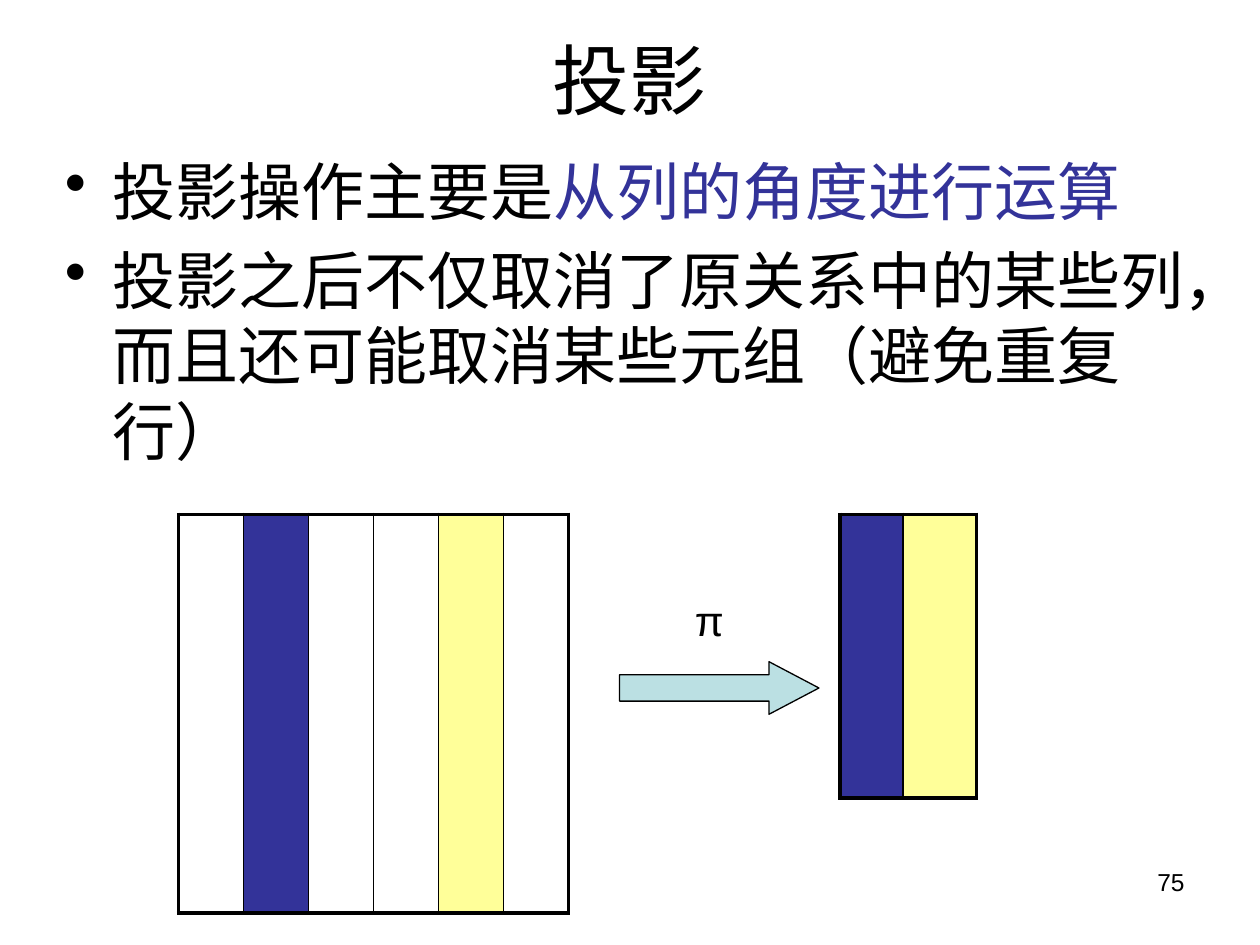
import pptx
import pptx.dml.color
import pptx.enum.shapes
import pptx.enum.text
import pptx.oxml
import pptx.oxml.ns
import pptx.util

Cm = pptx.util.Cm
Pt = pptx.util.Pt
ALIGN = pptx.enum.text.PP_ALIGN
ANCHOR = pptx.enum.text.MSO_ANCHOR
COLORS = {
    "black": "000000",
    "blue": "333399",
    "yellow": "FFFF99",
    "arrow": "BBE0E3",
}
OUTER_WIDTH = 2.25
INNER_WIDTH = 1
BULLET_INDENT = Cm(0.95)


def rgb(name):
    return pptx.dml.color.RGBColor.from_string(COLORS[name])


def set_attributes(target, values):
    for name, value in values.items():
        setattr(target, name, value)


def add_run(paragraph, text, size, color="black"):
    run = paragraph.add_run()
    run.text = text
    set_attributes(run.font, {"name": "Arial", "size": Pt(size)})
    run.font.color.rgb = rgb(color)


def add_text_box(slide, box, wrap=True):
    frame = slide.shapes.add_textbox(*map(Cm, box)).text_frame
    frame.word_wrap = wrap
    return frame


def add_label(slide, box, text, size, alignment=ALIGN.LEFT):
    paragraph = add_text_box(slide, box).paragraphs[0]
    paragraph.alignment = alignment
    add_run(paragraph, text, size)


def format_title(slide, box, text, size):
    title = slide.shapes.title
    set_attributes(title, dict(zip(("left", "top", "width", "height"), map(Cm, box))))
    set_attributes(title.text_frame, {"vertical_anchor": ANCHOR.MIDDLE, "word_wrap": True})
    paragraph = title.text_frame.paragraphs[0]
    paragraph.alignment = ALIGN.CENTER
    add_run(paragraph, text, size)


def add_bullets(slide, box, items, size):
    frame = add_text_box(slide, box)
    for index, runs in enumerate(items):
        paragraph = frame.add_paragraph() if index else frame.paragraphs[0]
        properties = paragraph._p.get_or_add_pPr()
        properties.set("marL", str(BULLET_INDENT))
        properties.set("indent", str(-BULLET_INDENT))
        bullet = pptx.oxml.parse_xml(
            f'<a:buChar {pptx.oxml.ns.nsdecls("a")} char="•"/>'
        )
        properties.append(bullet)
        paragraph.space_before = Pt(size * 0.2 if index else 0)
        for text, color in runs:
            add_run(paragraph, text, size, color)


def add_border(cell, side, width):
    border = pptx.oxml.parse_xml(
        f'<a:ln{side} {pptx.oxml.ns.nsdecls("a")} w="{Pt(width)}">'
        f'<a:solidFill><a:srgbClr val="{COLORS["black"]}"/></a:solidFill>'
        f'</a:ln{side}>'
    )
    cell._tc.get_or_add_tcPr().append(border)


def add_relation(slide, left, top, height, widths, fills):
    box = map(Cm, (left, top, sum(widths), height))
    table = slide.shapes.add_table(1, len(widths), *box).table
    set_attributes(table, {"first_row": False, "horz_banding": False})
    last = len(widths) - 1
    for index, (width, fill) in enumerate(zip(widths, fills)):
        table.columns[index].width = Cm(width)
        cell = table.cell(0, index)
        add_border(cell, "L", INNER_WIDTH if index else OUTER_WIDTH)
        add_border(cell, "R", INNER_WIDTH if index < last else OUTER_WIDTH)
        add_border(cell, "T", OUTER_WIDTH)
        add_border(cell, "B", OUTER_WIDTH)
        if fill:
            cell.fill.solid()
            cell.fill.fore_color.rgb = rgb(fill)
        else:
            cell.fill.background()


def add_arrow(slide, box):
    arrow = slide.shapes.add_shape(
        pptx.enum.shapes.MSO_SHAPE.RIGHT_ARROW, *map(Cm, box)
    )
    arrow.shadow.inherit = False
    arrow.adjustments[1] = 0.95
    arrow.fill.solid()
    arrow.fill.fore_color.rgb = rgb("arrow")
    arrow.line.color.rgb = rgb("black")
    arrow.line.width = Pt(0.75)


def main():
    presentation = pptx.Presentation()
    set_attributes(presentation, {"slide_width": Cm(25.4), "slide_height": Cm(19.05)})
    slide = presentation.slides.add_slide(presentation.slide_layouts[5])

    format_title(slide, (1.27, 0, 22.86, 3.18), "投影", 44)
    add_bullets(slide, (1.06, 2.96, 23.07, 5.29), [
        [("投影操作主要是", "black"), ("从列的角度进行运算", "blue")],
        [("投影之后不仅取消了原关系中的某些列，而且还可能取消某些元组（避免重复行）", "black")],
    ], 36)
    add_relation(slide, 3.6, 10.37, 8.04, [1.31] * 6,
                 [None, "blue", None, None, "yellow", None])
    add_relation(slide, 16.93, 10.37, 5.72, [1.27, 1.48], ["blue", "yellow"])
    add_arrow(slide, (12.49, 13.34, 4.02, 1.06))
    add_label(slide, (13.76, 11.85, 1.48, 1.27), "π", 24)
    add_label(slide, (18.2, 17.35, 5.93, 1.32), "75", 14, ALIGN.RIGHT)
    presentation.save("out.pptx")


if __name__ == "__main__":
    main()
